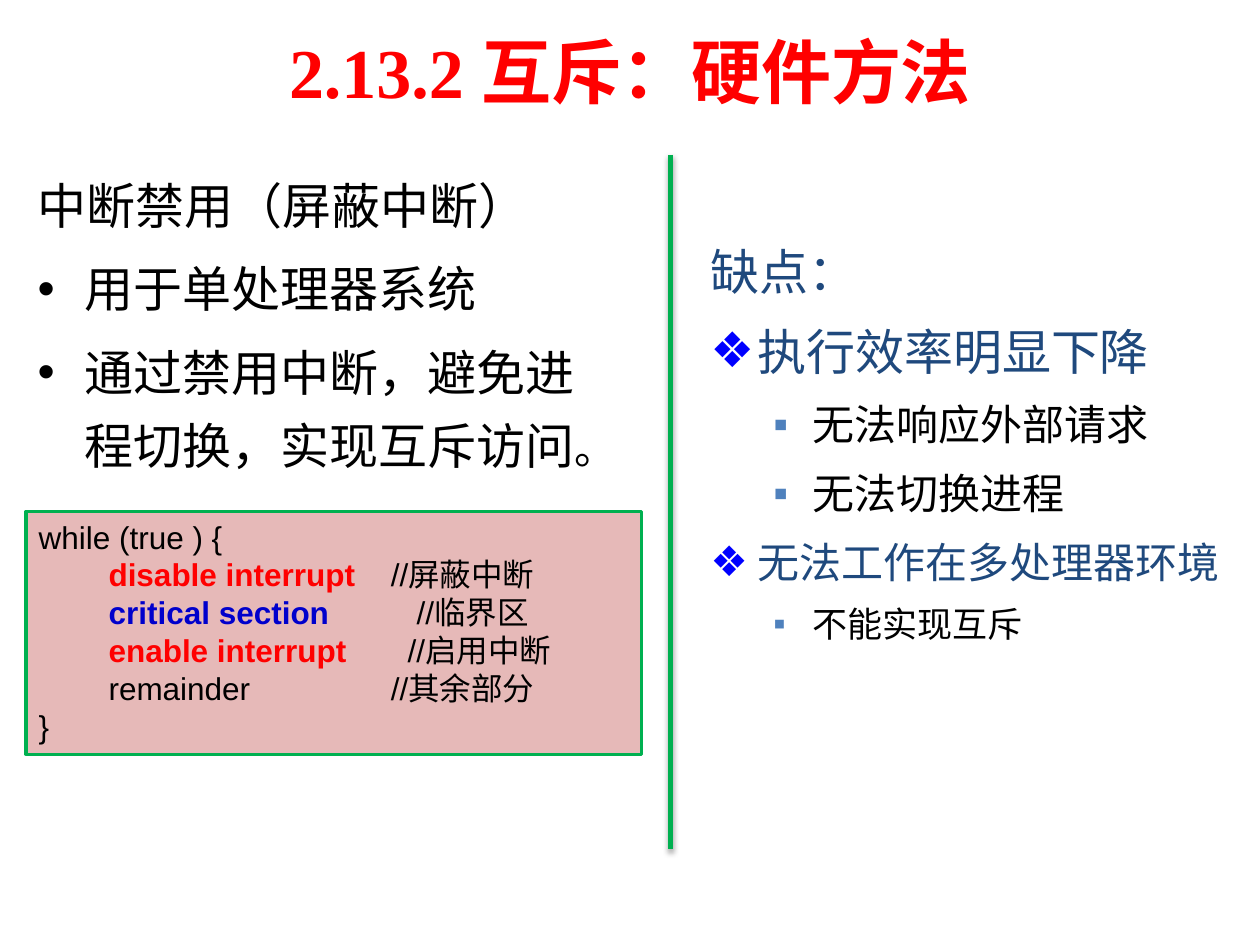
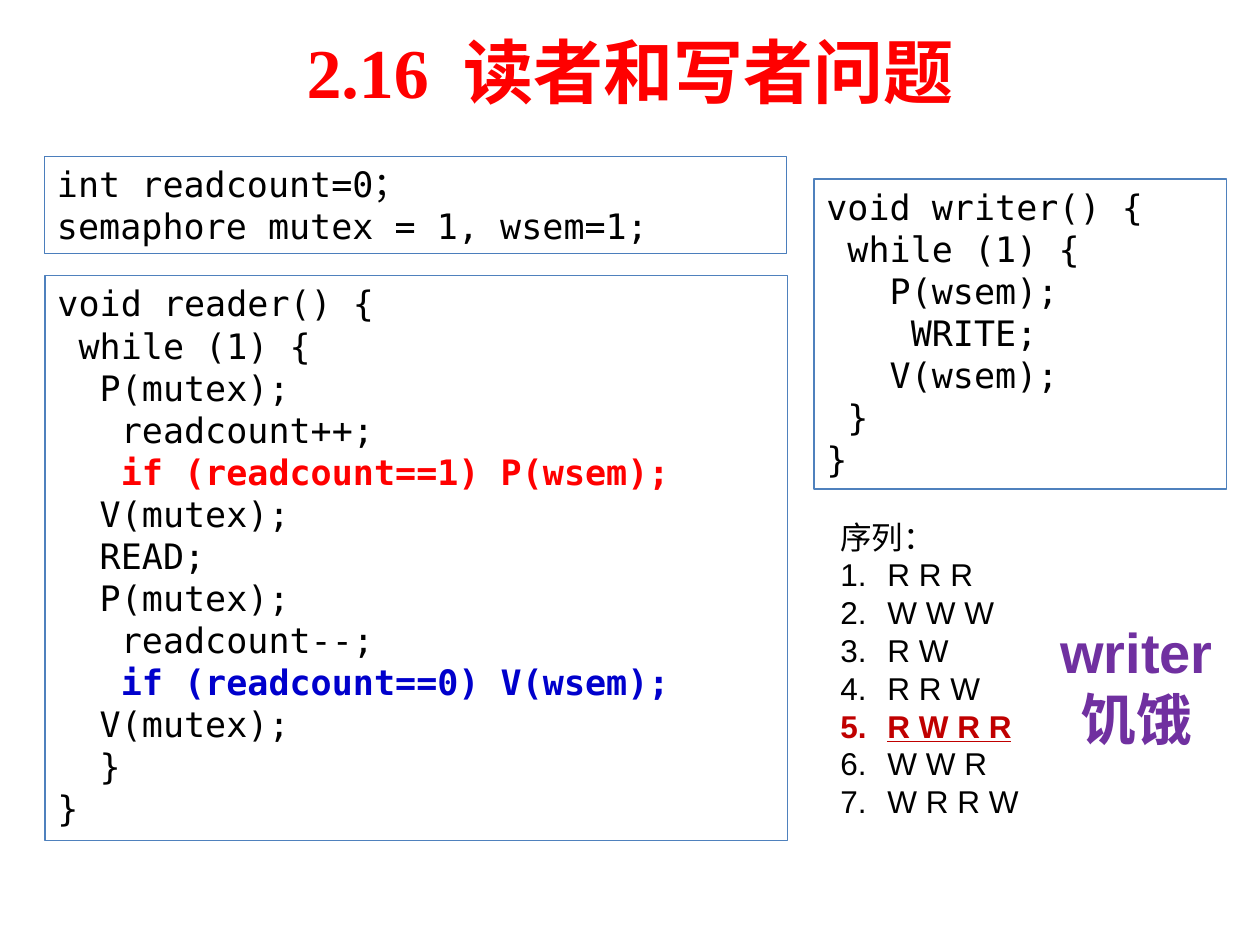
from dataclasses import dataclass, replace
from typing import Optional

from lxml.etree import SubElement
from pptx import Presentation
from pptx.dml.color import RGBColor
from pptx.enum.shapes import MSO_CONNECTOR, MSO_SHAPE
from pptx.enum.text import MSO_ANCHOR, MSO_AUTO_SIZE, PP_ALIGN
from pptx.oxml.ns import qn
from pptx.util import Cm, Pt

BLACK, RED, BLUE, GREEN = "000000", "FF0000", "0000CC", "00B050"
NAVY, STEEL, PINK, PURPLE, DARK_RED = "1F497D", "4F81BD", "E6B9B8", "7030A0", "C00000"
SANS, MONO, SERIF = "Arial", "DejaVu Sans Mono", "Times New Roman"


@dataclass(frozen=True)
class Span:
    text: str
    color: Optional[str] = None
    bold: Optional[bool] = None
    size: Optional[float] = None


@dataclass(frozen=True)
class Style:
    font: str
    size: float
    color: str = BLACK
    bold: bool = False
    underline: bool = False
    align: PP_ALIGN = PP_ALIGN.LEFT
    spacing: Optional[float] = None
    before: float = 0
    bullet: str = ""
    bullet_color: str = ""
    level: int = 0
    left: float = 0
    hanging: float = 0
    tab: float = 0


@dataclass(frozen=True)
class Line:
    spans: tuple[Span, ...]
    style: Style


@dataclass(frozen=True)
class Box:
    left: float
    top: float
    width: float
    height: float
    fill: Optional[str] = None
    border: Optional[str] = None
    border_width: float = 0.75
    anchor: MSO_ANCHOR = MSO_ANCHOR.TOP
    grow: bool = True
    wrap: bool = True


TITLE_BOX = Box(1.27, 0.13, 22.86, 2.59, anchor=MSO_ANCHOR.MIDDLE, grow=False)
TITLE = Style(SERIF, 40, RED, bold=True, align=PP_ALIGN.CENTER)
CODE = Style(MONO, 20)
PSEUDOCODE = Style(SANS, 18)
HANGING = 0.95


def rgb(color: str) -> RGBColor:
    return RGBColor.from_string(color)


def line(text: str, style: Style) -> Line:
    return Line((Span(text),), style)


def add_marks(paragraph, style: Style) -> None:
    properties = paragraph._p.get_or_add_pPr()
    if style.bullet:
        properties.set("marL", str(Cm(style.left)))
        properties.set("indent", str(-Cm(style.hanging)))
        if style.bullet_color:
            color = SubElement(properties, qn("a:buClr"))
            SubElement(color, qn("a:srgbClr"), val=style.bullet_color)
        SubElement(properties, qn("a:buFont"), typeface=SANS)
        if style.bullet == "1.":
            SubElement(properties, qn("a:buAutoNum"), type="arabicPeriod")
        else:
            SubElement(properties, qn("a:buChar"), char=style.bullet)
    if style.tab:
        tabs = SubElement(properties, qn("a:tabLst"))
        SubElement(tabs, qn("a:tab"), pos=str(Cm(style.tab)), algn="l")


def write_line(paragraph, content: Line, first: bool) -> None:
    style = content.style
    add_marks(paragraph, style)
    paragraph.alignment = style.align
    paragraph.level = style.level
    if style.spacing:
        paragraph.line_spacing = style.spacing
    if not first:
        paragraph.space_before = Pt(style.before)
    paragraph.font.name = style.font
    paragraph.font.size = Pt(style.size)
    paragraph.font.color.rgb = rgb(style.color)
    paragraph.font.bold = style.bold
    paragraph.font.underline = style.underline
    for span in content.spans:
        run = paragraph.add_run()
        run.text = span.text
        if span.color:
            run.font.color.rgb = rgb(span.color)
        if span.bold is not None:
            run.font.bold = span.bold
        if span.size:
            run.font.size = Pt(span.size)


def add_box(slide, box: Box, lines: list[Line]) -> None:
    place = [Cm(length) for length in (box.left, box.top, box.width, box.height)]
    if box.border:
        shape = slide.shapes.add_shape(MSO_SHAPE.RECTANGLE, *place)
        shape.shadow.inherit = False
        shape.line.color.rgb = rgb(box.border)
        shape.line.width = Pt(box.border_width)
        if box.fill:
            shape.fill.solid()
            shape.fill.fore_color.rgb = rgb(box.fill)
        else:
            shape.fill.background()
    else:
        shape = slide.shapes.add_textbox(*place)
    frame = shape.text_frame
    frame.word_wrap = box.wrap
    frame.vertical_anchor = box.anchor
    frame.auto_size = MSO_AUTO_SIZE.SHAPE_TO_FIT_TEXT if box.grow else MSO_AUTO_SIZE.NONE
    for index, content in enumerate(lines):
        paragraph = frame.add_paragraph() if index else frame.paragraphs[0]
        write_line(paragraph, content, first=index == 0)


def add_divider(slide, x: float, top: float, bottom: float) -> None:
    divider = slide.shapes.add_connector(MSO_CONNECTOR.STRAIGHT, Cm(x), Cm(top), Cm(x), Cm(bottom))
    divider.line.color.rgb = rgb(GREEN)
    divider.line.width = Pt(2.75)
    effects = SubElement(divider._element.spPr, qn("a:effectLst"))
    shadow = SubElement(effects, qn("a:outerShdw"), blurRad=str(Pt(3.1)), dist=str(Pt(1.6)),
                        dir="5400000", rotWithShape="0")
    color = SubElement(shadow, qn("a:srgbClr"), val=BLACK)
    SubElement(color, qn("a:alpha"), val="38000")


def add_titled_slide(presentation, title: str):
    slide = presentation.slides.add_slide(presentation.slide_layouts[6])
    add_box(slide, TITLE_BOX, [line(title, TITLE)])
    return slide


def code_lines(source: str, highlights: dict[str, str]) -> list[Line]:
    lines = []
    for text in source.splitlines():
        color = highlights.get(text.strip())
        style = replace(CODE, color=color, bold=True) if color else CODE
        lines.append(line(text, style))
    return lines


def commented(code: str, comment: str, tab: float, color: str = BLACK) -> Line:
    statement = Span("        " + code + "\t", color, color != BLACK)
    return Line((statement, Span(comment)), replace(PSEUDOCODE, tab=tab))


def build_hardware_mutex(presentation) -> None:
    slide = add_titled_slide(presentation, "2.13.2 互斥：硬件方法")

    heading = Style(SERIF, 28, spacing=1.25, before=5.6)
    point = replace(heading, font=SANS, bullet="•", left=HANGING, hanging=HANGING)
    add_box(slide, Box(0.51, 3.12, 11.81, 6.35, grow=False), [
        line("中断禁用（屏蔽中断）", heading),
        line("用于单处理器系统", point),
        Line((Span("通过禁用中断，避免进程切换，实现互斥访问"), Span("。", size=24)), point),
    ])

    add_box(slide, Box(0.53, 10.31, 12.4, 4.9, PINK, GREEN, 2), [
        line("while (true ) {", PSEUDOCODE),
        commented("disable interrupt", "//屏蔽中断", 7.1, RED),
        commented("critical section", "//临界区", 7.62, BLUE),
        commented("enable interrupt", "//启用中断", 7.44, RED),
        commented("remainder", "//其余部分", 7.1),
        line("}", PSEUDOCODE),
    ])

    add_divider(slide, 13.51, 3.12, 17.12)

    drawbacks = Style(SANS, 28, NAVY, spacing=1.2, before=5.6)
    drawback = replace(drawbacks, bullet="❖", bullet_color="0000FF", left=HANGING, hanging=HANGING)
    detail = replace(drawbacks, size=24, color=BLACK, before=4.8, bullet="▪",
                     bullet_color=STEEL, level=1, left=2.06, hanging=0.79)
    add_box(slide, Box(14.07, 4.5, 10.85, 12.57, grow=False), [
        line("缺点：", drawbacks),
        line("执行效率明显下降", drawback),
        line("无法响应外部请求", detail),
        line("无法切换进程", detail),
        line("无法工作在多处理器环境", replace(drawback, size=24, before=4.8)),
        line("不能实现互斥", replace(detail, size=20, before=4)),
    ])


READER = """void reader() {
 while (1) {
  P(mutex);
   readcount++;
   if (readcount==1) P(wsem);
  V(mutex);
  READ;
  P(mutex);
   readcount--;
   if (readcount==0) V(wsem);
  V(mutex);
  }
}"""

WRITER = """void writer() {
 while (1) {
   P(wsem);
    WRITE;
   V(wsem);
 }
}"""

DECLARATIONS = """int readcount=0；
semaphore mutex = 1, wsem=1;"""


def build_readers_writers(presentation) -> None:
    slide = add_titled_slide(presentation, "2.16  读者和写者问题")

    highlights = {"if (readcount==1) P(wsem);": RED, "if (readcount==0) V(wsem);": BLUE}
    for box, source in (
        (Box(0.91, 5.56, 14.96, 11.38, border=STEEL), READER),
        (Box(16.41, 3.61, 8.31, 6.25, border=STEEL), WRITER),
        (Box(0.9, 3.15, 14.96, 1.96, border="4B7EBC"), DECLARATIONS),
    ):
        add_box(slide, box, code_lines(source, highlights))

    heading = Style(SANS, 18)
    numbered = replace(heading, bullet="1.", left=HANGING, hanging=HANGING)
    starving = replace(numbered, color=DARK_RED, bold=True, underline=True)
    sequences = ["R R R", "W W W", "R W", "R R W", "R W R R", "W W R", "W R R W"]
    add_box(slide, Box(16.69, 10.31, 7.49, 6.4), [line("序列：", heading)] + [
        line(sequence, starving if sequence == "R W R R" else numbered) for sequence in sequences
    ])

    starvation = Style(SANS, 32, PURPLE, bold=True, align=PP_ALIGN.CENTER)
    add_box(slide, Box(21.11, 12.32, 3.61, 3, wrap=False),
            [line("writer", starvation), line("饥饿", starvation)])


def main() -> None:
    presentation = Presentation()
    presentation.slide_width, presentation.slide_height = Cm(25.4), Cm(19.05)
    build_hardware_mutex(presentation)
    build_readers_writers(presentation)
    presentation.save("out.pptx")


if __name__ == "__main__":
    main()
